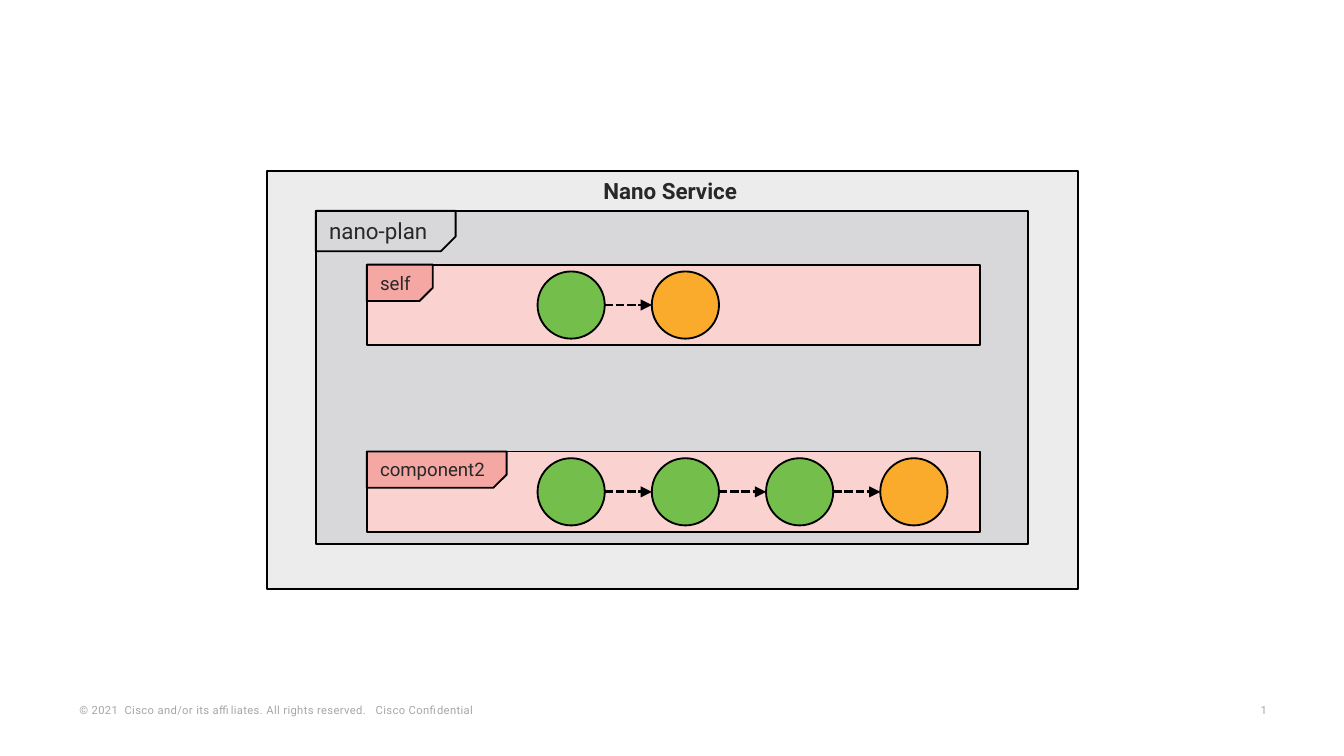
from lxml import etree
from pptx import Presentation
from pptx.dml.color import RGBColor
from pptx.enum import dml, shapes, text
from pptx.oxml import ns
from pptx.util import Inches, Pt

COLORS = {
    "black": "000000", "text": "282828", "footer": "A6A6A6",
    "service": "ECECEC", "plan": "D8D8DA", "component": "FAD3D1",
    "tab": "F4A7A3", "reached": "74BF4B", "pending": "FBAB2C",
}
PAGE_WIDTH = 10
PAGE_HEIGHT = PAGE_WIDTH * 9 / 16
SERVICE = (1.99, 1.27, 6.03, 3.11)
PLAN = (2.35, 1.57, 5.3, 2.48)
PLAN_TAB_WIDTH = 1.04
# name, top, tab width, states in order
COMPONENTS = [
    ("self", 1.97, 0.49, ["reached", "pending"]),
    ("component2", 3.36, 1.04, ["reached", "reached", "reached", "pending"]),
]
# words, left, width, wraps
FOOTERS = [
    ("© 2021  Cisco and/or its affiliates. All rights reserved.   Cisco Confidential",
     0.52, 3.72, True),
    ("1", 9.31, 0.24, False),
]
LANE_LEFT, LANE_WIDTH, LANE_HEIGHT = 2.73, 4.56, 0.6
STATE_LEFT, STATE_SIZE, STATE_STEP = 4.0, 0.5, 0.85
TAB_HEIGHT, PLAN_TAB_HEIGHT = 0.27, 0.3


def rgb(name):
    return RGBColor.from_string(COLORS[name])


def add_outlined(page, kind, area, fill=None):
    shape = page.shapes.add_shape(kind, *map(Inches, area))
    shape.shadow.inherit = False
    if fill:
        shape.fill.solid()
        shape.fill.fore_color.rgb = rgb(fill)
    else:
        shape.fill.background()
    shape.line.color.rgb = rgb("black")
    shape.line.width = Pt(1)
    return shape


def add_text(page, words, area, size, color="text", bold=False, wrap=False):
    box = page.shapes.add_textbox(*map(Inches, area))
    frame = box.text_frame
    frame.word_wrap = wrap
    para = frame.paragraphs[0]
    para.text = words
    para.font.name = "Roboto"
    para.font.size = Pt(size)
    para.font.bold = bold
    para.font.color.rgb = rgb(color)
    return frame


def add_tab(page, label, area, size, fill=None):
    """Name tag with its lower right corner cut off."""
    tab = add_outlined(page, shapes.MSO_SHAPE.SNIP_1_RECTANGLE, area, fill)
    tab.adjustments[0] = 0.364
    tab._element.spPr.find(ns.qn("a:xfrm")).set("flipV", "1")
    # The label has its own box, as a flipped shape turns its text over.
    add_text(page, label, area, size)


def add_arrow(page, start, end, y):
    arrow = page.shapes.add_connector(
        shapes.MSO_CONNECTOR.STRAIGHT, *map(Inches, (start, y, end, y)))
    arrow.line.color.rgb = rgb("black")
    arrow.line.width = Pt(1.5)
    arrow.line.dash_style = dml.MSO_LINE.SQUARE_DOT
    etree.SubElement(arrow.line._get_or_add_ln(), ns.qn("a:tailEnd"), type="triangle")
    etree.SubElement(arrow._element.spPr, ns.qn("a:effectLst"))


def add_component(page, name, top, tab_width, states):
    add_outlined(page, shapes.MSO_SHAPE.RECTANGLE,
                 (LANE_LEFT, top, LANE_WIDTH, LANE_HEIGHT), "component")
    add_tab(page, name, (LANE_LEFT, top, tab_width, TAB_HEIGHT), 10, "tab")
    state_top = top + (LANE_HEIGHT - STATE_SIZE) / 2
    for index, state in enumerate(states):
        left = STATE_LEFT + index * STATE_STEP
        add_outlined(page, shapes.MSO_SHAPE.OVAL,
                     (left, state_top, STATE_SIZE, STATE_SIZE), state)
        if index:
            add_arrow(page, left - STATE_STEP + STATE_SIZE, left, top + LANE_HEIGHT / 2)


def add_footer(page, words, left, width, wrap):
    frame = add_text(page, words, (left, 5.19, width, 0.17), 6, "footer", wrap=wrap)
    frame.vertical_anchor = text.MSO_ANCHOR.BOTTOM
    frame.margin_left = frame.margin_right = Inches(0.07)
    frame.margin_top = frame.margin_bottom = Inches(0.03)
    frame.paragraphs[0].runs[0].font._element.set("spc", "20")


def main():
    deck = Presentation()
    deck.slide_width, deck.slide_height = Inches(PAGE_WIDTH), Inches(PAGE_HEIGHT)
    page = deck.slides.add_slide(deck.slide_layouts[6])
    for footer in FOOTERS:
        add_footer(page, *footer)
    add_outlined(page, shapes.MSO_SHAPE.RECTANGLE, SERVICE, "service")
    add_outlined(page, shapes.MSO_SHAPE.RECTANGLE, PLAN, "plan")
    add_text(page, "Nano Service", (4.39, SERVICE[1], 1.22, 0.3), 12, bold=True)
    add_tab(page, "nano-plan", (*PLAN[:2], PLAN_TAB_WIDTH, PLAN_TAB_HEIGHT), 12)
    for component in COMPONENTS:
        add_component(page, *component)
    deck.save("out.pptx")


if __name__ == "__main__":
    main()
